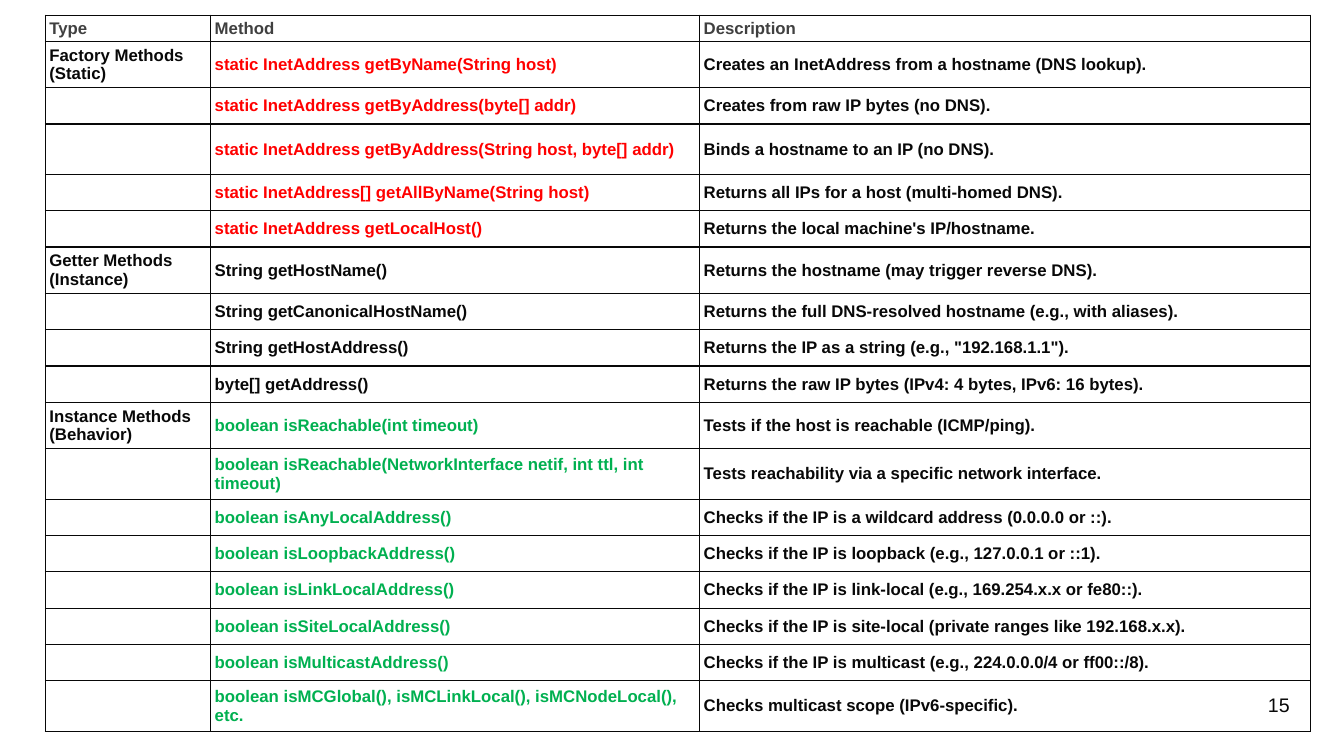
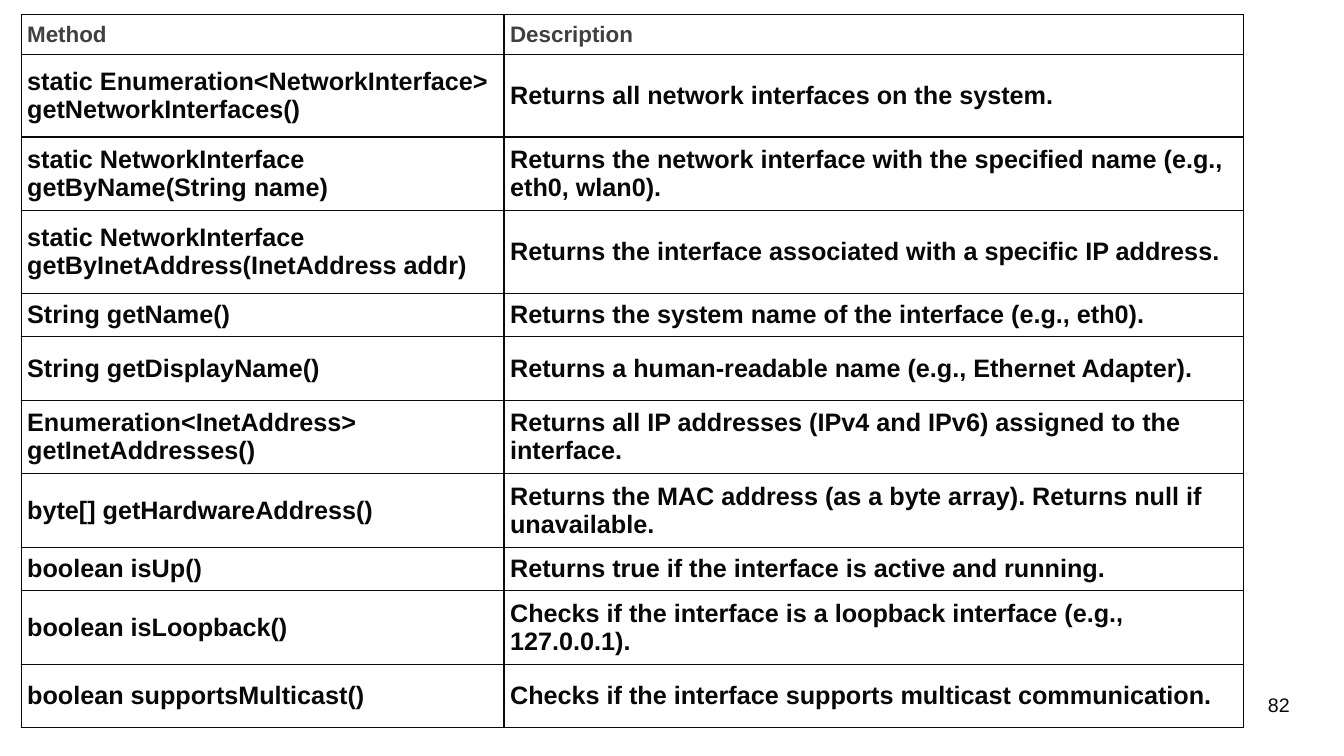
from lxml.etree import SubElement
from pptx import Presentation
from pptx.dml.color import RGBColor as RGB
from pptx.enum.text import MSO_ANCHOR as Anchor, PP_ALIGN as Align
from pptx.oxml import parse_xml
from pptx.oxml.ns import nsdecls, qn
from pptx.util import Inches, Pt

WIDTH, HEIGHT = 13.33, 7.5
COLORS = {"ink": "080808", "header": "404040", "factory": "FF0000",
          "behavior": "00B050", "paper": "FFFFFF"}
FONT = "Arial"
EDGES = ("lnL", "lnR", "lnT", "lnB")
LINE, DOUBLE, TALL = 0.36, 0.45, 0.5

ADDRESS_GROUPS = [
    ("Factory Methods (Static)", "factory", [
        (DOUBLE, "static InetAddress getByName(String host)",
         "Creates an InetAddress from a hostname (DNS lookup)."),
        (LINE, "static InetAddress getByAddress(byte[] addr)",
         "Creates from raw IP bytes (no DNS)."),
        (TALL, "static InetAddress getByAddress(String host, byte[] addr)",
         "Binds a hostname to an IP (no DNS)."),
        (LINE, "static InetAddress[] getAllByName(String host)",
         "Returns all IPs for a host (multi-homed DNS)."),
        (LINE, "static InetAddress getLocalHost()",
         "Returns the local machine's IP/hostname."),
    ]),
    ("Getter Methods (Instance)", "ink", [
        (DOUBLE, "String getHostName()",
         "Returns the hostname (may trigger reverse DNS)."),
        (LINE, "String getCanonicalHostName()",
         "Returns the full DNS-resolved hostname (e.g., with aliases)."),
        (LINE, "String getHostAddress()",
         "Returns the IP as a string (e.g., \"192.168.1.1\")."),
        (LINE, "byte[] getAddress()",
         "Returns the raw IP bytes (IPv4: 4 bytes, IPv6: 16 bytes)."),
    ]),
    ("Instance Methods (Behavior)", "behavior", [
        (DOUBLE, "boolean isReachable(int timeout)",
         "Tests if the host is reachable (ICMP/ping)."),
        (TALL, "boolean isReachable(NetworkInterface netif, int ttl, int timeout)",
         "Tests reachability via a specific network interface."),
        (LINE, "boolean isAnyLocalAddress()",
         "Checks if the IP is a wildcard address (0.0.0.0 or ::)."),
        (LINE, "boolean isLoopbackAddress()",
         "Checks if the IP is loopback (e.g., 127.0.0.1 or ::1)."),
        (LINE, "boolean isLinkLocalAddress()",
         "Checks if the IP is link-local (e.g., 169.254.x.x or fe80::)."),
        (LINE, "boolean isSiteLocalAddress()",
         "Checks if the IP is site-local (private ranges like 192.168.x.x)."),
        (LINE, "boolean isMulticastAddress()",
         "Checks if the IP is multicast (e.g., 224.0.0.0/4 or ff00::/8)."),
        (TALL, "boolean isMCGlobal(), isMCLinkLocal(), isMCNodeLocal(), etc.",
         "Checks multicast scope (IPv6-specific)."),
    ]),
]

INTERFACE_METHODS = [
    (0.82, "static Enumeration<NetworkInterface> getNetworkInterfaces()",
     "Returns all network interfaces on the system."),
    (0.73, "static NetworkInterface getByName(String name)",
     "Returns the network interface with the specified name (e.g., eth0, wlan0)."),
    (0.82, "static NetworkInterface getByInetAddress(InetAddress addr)",
     "Returns the interface associated with a specific IP address."),
    (0.43, "String getName()",
     "Returns the system name of the interface (e.g., eth0)."),
    (0.63, "String getDisplayName()",
     "Returns a human-readable name (e.g., Ethernet Adapter)."),
    (0.73, "Enumeration<InetAddress> getInetAddresses()",
     "Returns all IP addresses (IPv4 and IPv6) assigned to the interface."),
    (0.73, "byte[] getHardwareAddress()",
     "Returns the MAC address (as a byte array). Returns null if unavailable."),
    (0.43, "boolean isUp()",
     "Returns true if the interface is active and running."),
    (0.73, "boolean isLoopback()",
     "Checks if the interface is a loopback interface (e.g., 127.0.0.1)."),
    (0.63, "boolean supportsMulticast()",
     "Checks if the interface supports multicast communication."),
]


def apply(target, values):
    """Set every attribute named in values on target."""
    for name, value in values.items():
        setattr(target, name, value)


def write(paragraph, text, size, color, bold=False):
    """Add one formatted run to a paragraph."""
    run = paragraph.add_run()
    run.text = text
    apply(run.font, {"name": FONT, "size": Pt(size), "bold": bold})
    run.font.color.rgb = RGB.from_string(COLORS[color])


def add_borders(cell):
    """Draw a one-point line on each edge of a cell."""
    properties = cell._tc.get_or_add_tcPr()
    for place, edge in enumerate(EDGES):
        line = parse_xml(f'<a:{edge} {nsdecls("a")} w="{Pt(1)}"/>')
        ink = SubElement(SubElement(line, qn("a:solidFill")), qn("a:srgbClr"))
        ink.set("val", COLORS["ink"])
        properties.insert(place, line)


def add_page_number(slide, number):
    """Place the right-aligned page number in the lower right corner."""
    box = slide.shapes.add_textbox(
        Inches(0.717 * WIDTH), Inches(0.91 * HEIGHT),
        Inches(0.25 * WIDTH), Inches(0.07 * HEIGHT))
    box.text_frame.word_wrap = True
    paragraph = box.text_frame.paragraphs[0]
    paragraph.alignment = Align.RIGHT
    write(paragraph, number, 14, "ink")


def add_method_table(slide, left, top, columns, rows, margins, sizes, fill=None):
    """Place a bordered table whose rows are (height, [(text, color), ...])."""
    heights = [height for height, _ in rows]
    table = slide.shapes.add_table(
        len(rows), len(columns), Inches(left), Inches(top),
        Inches(sum(columns)), Inches(sum(heights))).table
    table.horz_banding = False
    for column, width in zip(table.columns, columns):
        column.width = Inches(width)
    cell_format = {"vertical_anchor": Anchor.MIDDLE}
    for side, margin in zip(("left", "top", "right", "bottom"), margins):
        cell_format[f"margin_{side}"] = Inches(margin)
    for index, (height, entries) in enumerate(rows):
        table.rows[index].height = Inches(height)
        size = sizes["body" if index else "header"]
        for cell, (text, color) in zip(table.rows[index].cells, entries):
            apply(cell, cell_format)
            if fill:
                cell.fill.solid()
                cell.fill.fore_color.rgb = RGB.from_string(COLORS[fill])
            else:
                cell.fill.background()
            add_borders(cell)
            if text:
                write(cell.text_frame.paragraphs[0], text, size, color, True)


def header_row(height, *titles):
    """Return the heading row of a method table."""
    return height, [(title, "header") for title in titles]


def build_address_slide(slide):
    """Build the InetAddress methods grouped by type."""
    rows = [header_row(0.25, "Type", "Method", "Description")]
    for kind, color, methods in ADDRESS_GROUPS:
        for place, (height, method, description) in enumerate(methods):
            label = "" if place else kind
            rows.append((height, [(label, "ink"), (method, color),
                                  (description, "ink")]))
    add_page_number(slide, "15")
    add_method_table(slide, 0.45, 0.15, (1.64, 4.85, 6.06), rows,
                     (0.04, 0.03, 0.05, 0.03), {"header": 12, "body": 12})


def build_interface_slide(slide):
    """Build the NetworkInterface methods."""
    rows = [header_row(0.4, "Method", "Description")]
    for height, *texts in INTERFACE_METHODS:
        rows.append((height, [(text, "ink") for text in texts]))
    add_page_number(slide, "82")
    add_method_table(slide, 0.21, 0.14, (4.79, 7.33), rows,
                     (0.06,) * 4, {"header": 16, "body": 18}, "paper")


def main():
    """Build and save the presentation."""
    deck = Presentation()
    apply(deck, {"slide_width": Inches(WIDTH), "slide_height": Inches(HEIGHT)})
    for build in (build_address_slide, build_interface_slide):
        build(deck.slides.add_slide(deck.slide_layouts[6]))
    deck.save("out.pptx")


if __name__ == "__main__":
    main()
